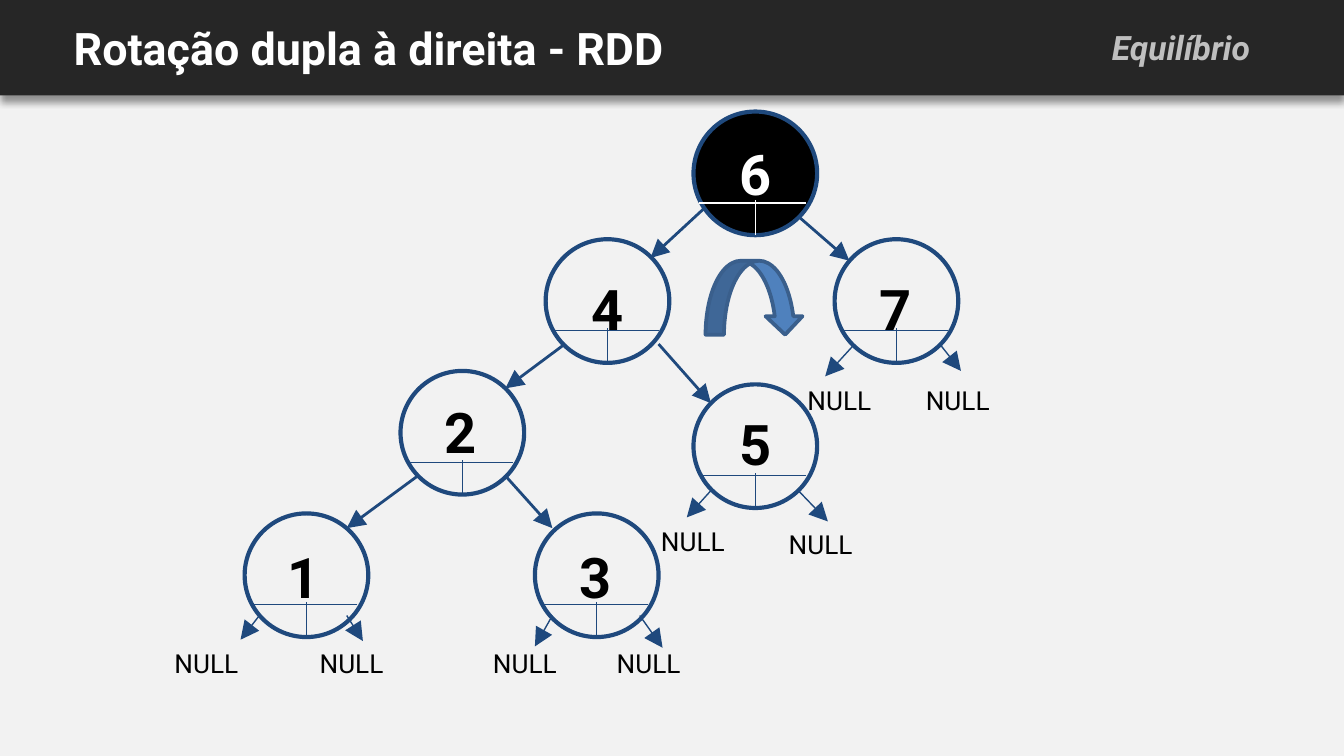
from dataclasses import dataclass

from lxml import etree
from pptx import Presentation
from pptx.dml.color import RGBColor
from pptx.enum.shapes import MSO_CONNECTOR, MSO_SHAPE
from pptx.enum.text import MSO_ANCHOR, MSO_AUTO_SIZE, PP_ALIGN
from pptx.oxml.ns import qn
from pptx.util import Inches, Pt

RECT = MSO_SHAPE.RECTANGLE
OVAL = MSO_SHAPE.OVAL
CURVE = MSO_SHAPE.CURVED_UP_ARROW
STRAIGHT = MSO_CONNECTOR.STRAIGHT
LEFT, MID, RIGHT = PP_ALIGN.LEFT, PP_ALIGN.CENTER, PP_ALIGN.RIGHT
TOP, CENTER = MSO_ANCHOR.TOP, MSO_ANCHOR.MIDDLE
GROW = MSO_AUTO_SIZE.SHAPE_TO_FIT_TEXT


@dataclass(frozen=True)
class Theme:
    font: str = "Roboto"
    back: str = "F2F2F2"
    bar: str = "262626"
    white: str = "FFFFFF"
    black: str = "000000"
    gray: str = "BFBFBF"
    navy: str = "1F497D"
    blue: str = "4F81BD"
    edge: str = "3A5F8C"
    title: int = 24
    topic: int = 18
    key: int = 30
    null: int = 14
    thin: float = 0.75
    link: float = 1.5
    ring: float = 2.25
    turn: float = 2


T = Theme()
SIZE = 0.92

NODES = [
    ("6", 5.16, 0.83, 5.31, 0.94),
    ("7", 6.21, 1.78, 6.35, 1.94),
    ("4", 4.06, 1.78, 4.21, 1.94),
    ("5", 5.16, 2.86, 5.31, 2.95),
    ("2", 2.98, 2.76, 3.12, 2.86),
    ("3", 3.98, 3.82, 4.21, 3.94),
    ("1", 1.82, 3.82, 1.95, 3.94),
]
LINKS = [
    (5.94, 1.61, 6.32, 1.94),
    (5.24, 1.55, 4.84, 1.92),
    (4.9, 2.56, 5.29, 3),
    (4.19, 2.57, 3.76, 2.89),
    (3.76, 3.54, 4.11, 3.93),
    (3.11, 3.54, 2.58, 3.93),
]
ENDS = [
    (6.35, 2.57, 6.14, 2.8),
    (7, 2.57, 7.15, 2.76),
    (5.29, 3.65, 5.11, 3.85),
    (5.94, 3.65, 6.16, 3.88),
    (4.11, 4.58, 3.98, 4.81),
    (4.76, 4.58, 4.93, 4.82),
    (1.93, 4.58, 1.79, 4.76),
    (2.58, 4.58, 2.7, 4.77),
]
NULLS = [
    (5.91, 2.76), (6.79, 2.76), (4.82, 3.81), (5.77, 3.83),
    (3.57, 4.72), (4.49, 4.72), (1.2, 4.72), (2.28, 4.72),
]


def rgb(color):
    return RGBColor.from_string(color)


def add_form(slide, kind, box, fill=None, line=None, width=0):
    form = slide.shapes.add_shape(kind, *map(Inches, box))
    form.shadow.inherit = False
    if fill:
        form.fill.solid()
        form.fill.fore_color.rgb = rgb(fill)
    else:
        form.fill.background()
    if line:
        form.line.color.rgb = rgb(line)
        form.line.width = Pt(width)
    else:
        form.line.fill.background()
    return form


def add_text(slide, text, box, size, color, bold=False, align=LEFT,
             anchor=TOP, inset=0.1):
    label = slide.shapes.add_textbox(*map(Inches, box))
    frame = label.text_frame
    frame.word_wrap = True
    frame.vertical_anchor = anchor
    frame.margin_left = frame.margin_right = Inches(0.1)
    frame.margin_top = frame.margin_bottom = Inches(inset)
    part = frame.paragraphs[0]
    part.text = text
    part.alignment = align
    part.font.name = T.font
    part.font.size = Pt(size)
    part.font.bold = bold
    part.font.color.rgb = rgb(color)
    return frame


def add_line(slide, ends, color, width, head=False):
    line = slide.shapes.add_connector(STRAIGHT, *map(Inches, ends))
    line.line.color.rgb = rgb(color)
    line.line.width = Pt(width)
    if head:
        stroke = line.line._get_or_add_ln()
        etree.SubElement(stroke, qn("a:tailEnd"), type="triangle",
                         w="lg", len="lg")
    etree.SubElement(line._element.spPr, qn("a:effectLst"))


def add_shade(form):
    effect = form._element.spPr.find(qn("a:effectLst"))
    shade = etree.SubElement(
        effect, qn("a:outerShdw"), blurRad=str(Pt(4)), dist=str(Pt(3)),
        dir="5400000", algn="t", rotWithShape="0")
    color = etree.SubElement(shade, qn("a:srgbClr"), val=T.black)
    etree.SubElement(color, qn("a:alpha"), val="40000")


def add_head(slide):
    add_shade(add_form(slide, RECT, (0, 0, 10, 0.71), T.bar))
    add_text(slide, "Rotação dupla à direita - RDD", (0.45, 0, 9.05, 0.71),
             T.title, T.white, True, anchor=CENTER)
    topic = add_text(slide, "Equilíbrio", (6.79, 0.15, 2.61, 0.4),
                     T.topic, T.gray, True, RIGHT, inset=0.05)
    topic.auto_size = GROW
    topic.paragraphs[0].font.italic = True


def add_node(slide, key, x, y, left, top):
    root = key == "6"
    fill, line, ink = (
        (T.black, T.white, T.white) if root else (None, T.navy, T.black))
    add_form(slide, OVAL, (x, y, SIZE, SIZE), fill, T.navy, T.ring)
    mid = x + SIZE / 2
    add_line(slide, (mid, y + SIZE, mid, y + 0.66), line, T.thin)
    add_line(slide, (x + 0.84, y + 0.68, x + 0.04, y + 0.68), line, T.thin)
    align = LEFT if key == "3" else MID
    add_text(slide, key, (left, top, 0.62, 0.53), T.key, ink, True, align)


def add_turn(slide):
    turn = add_form(slide, CURVE, (5.25, 1.94, 0.73, 0.55),
                    T.blue, T.edge, T.turn)
    turn.rotation = 180
    turn._element.spPr.find(qn("a:xfrm")).set("flipH", "1")


def main():
    deck = Presentation()
    deck.slide_width = Inches(10)
    deck.slide_height = deck.slide_width * 9 // 16
    slide = deck.slides.add_slide(deck.slide_layouts[6])
    slide.background.fill.solid()
    slide.background.fill.fore_color.rgb = rgb(T.back)
    add_head(slide)
    for node in NODES:
        add_node(slide, *node)
    for ends in LINKS:
        add_line(slide, ends, T.navy, T.link, True)
    for ends in ENDS:
        add_line(slide, ends, T.navy, T.thin, True)
    for x, y in NULLS:
        add_text(slide, "NULL", (x, y, 0.73, 0.26), T.null, T.black)
    add_turn(slide)
    deck.save("out.pptx")


if __name__ == "__main__":
    main()
